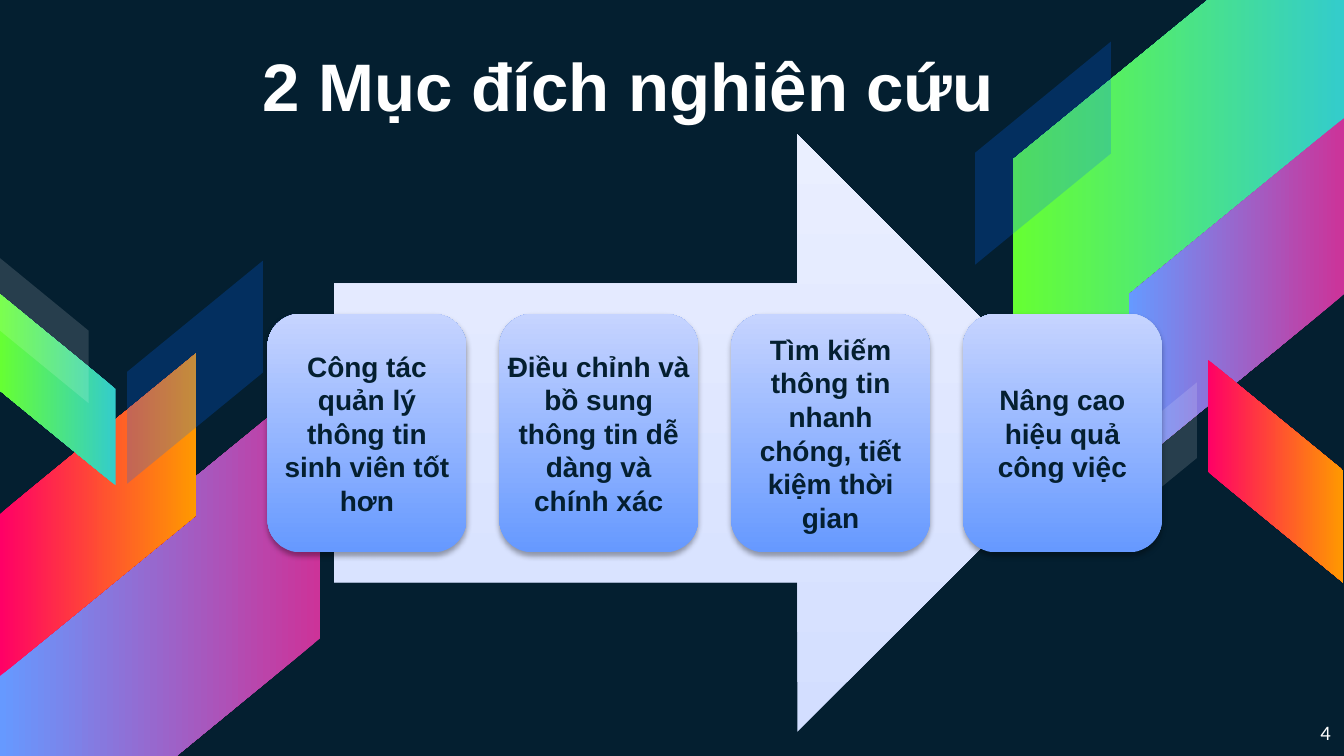
from typing import NamedTuple

from lxml.etree import SubElement
from pptx import Presentation
from pptx.dml.color import RGBColor
from pptx.enum.shapes import MSO_SHAPE as Preset
from pptx.enum.text import MSO_ANCHOR as Anchor, PP_ALIGN as Align
from pptx.oxml.ns import qn
from pptx.util import Pt

EMU_PER_PX = 4572
NAVY = "041F30"
WHITE = "FFFFFF"
GREEN = ("33CCCC", "66FF33")
PURPLE = ("CC3399", "6699FF")
ORANGE = ("FF0066", "FF9900")
SLANT = 0.819


class Box(NamedTuple):
    left: int
    top: int
    width: int
    height: int


class Ribbon(NamedTuple):
    box: Box
    rotation: int
    flipped: bool
    colors: tuple[str, ...]
    opacity: int = 100


RIBBONS = [
    Ribbon(Box(1351, -9, 806, 492), 90, True, GREEN),
    Ribbon(Box(-153, 711, 782, 476), 90, True, PURPLE),
    Ribbon(Box(-94, 620, 480, 292), 270, True, ORANGE),
    Ribbon(Box(124, 453, 332, 202), 270, True, ("0066FF",), 23),
    Ribbon(Box(-56, 494, 284, 172), 90, False, GREEN),
    Ribbon(Box(-42, 426, 216, 132), 270, False, (WHITE,), 14),
    Ribbon(Box(1578, 278, 524, 320), 90, True, PURPLE),
    Ribbon(Box(1732, 600, 332, 202), 270, False, ORANGE),
    Ribbon(Box(1601, 613, 224, 136), 270, True, (WHITE,), 14),
    Ribbon(Box(1386, 127, 332, 202), 270, True, ("0066FF",), 23),
]

PURPOSES = [
    "Công tác quản lý thông tin sinh viên tốt hơn",
    "Điều chỉnh và bồ sung thông tin dễ dàng và chính xác",
    "Tìm kiếm thông tin nhanh chóng, tiết kiệm thời gian",
    "Nâng cao hiệu quả công việc",
]
FIRST_CARD = Box(398, 467, 296, 355)
CARD_PITCH = 345


def px(length: int) -> int:
    return length * EMU_PER_PX


def rgb(color: str) -> RGBColor:
    return RGBColor.from_string(color)


def add_preset(slide, preset, box: Box, colors: tuple[str, ...], angle: int = 270):
    shape = slide.shapes.add_shape(preset, *map(px, box))
    shape.shadow.inherit = False
    shape.line.fill.background()
    if len(colors) == 1:
        shape.fill.solid()
        shape.fill.fore_color.rgb = rgb(colors[0])
    else:
        shape.fill.gradient()
        shape.fill.gradient_angle = 360 - angle
        for stop, color in zip(shape.fill.gradient_stops, colors):
            stop.color.rgb = rgb(color)
    return shape


def set_alpha(color_element, percent: int) -> None:
    SubElement(color_element, qn("a:alpha"), val=str(percent * 1000))


def add_ribbon(slide, ribbon: Ribbon) -> None:
    shape = add_preset(slide, Preset.PARALLELOGRAM, ribbon.box, ribbon.colors, angle=90)
    shape.adjustments[0] = SLANT
    shape.rotation = ribbon.rotation
    properties = shape._element.spPr
    if ribbon.flipped:
        properties.find(qn("a:xfrm")).set("flipH", "1")
    if ribbon.opacity < 100:
        set_alpha(properties.find(f"{qn('a:solidFill')}/{qn('a:srgbClr')}"), ribbon.opacity)


def add_shadow(shape) -> None:
    effects = shape._element.spPr.find(qn("a:effectLst"))
    shadow = SubElement(
        effects, qn("a:outerShdw"), blurRad=str(Pt(3.1)), dist=str(Pt(1.8)),
        dir="5400000", rotWithShape="0",
    )
    set_alpha(SubElement(shadow, qn("a:srgbClr"), val="000000"), 35)


def add_text(slide, box: Box, text: str, *, size: int, font: str = "Arial",
             color: str = WHITE, bold: bool = False, align=Align.LEFT,
             anchor=Anchor.TOP, insets: tuple[int, int] = (20, 10),
             line_points: int | None = None) -> None:
    frame = slide.shapes.add_textbox(*map(px, box)).text_frame
    frame.word_wrap = True
    frame.vertical_anchor = anchor
    frame.margin_left = frame.margin_right = px(insets[0])
    frame.margin_top = frame.margin_bottom = px(insets[1])
    paragraph = frame.paragraphs[0]
    paragraph.alignment = align
    if line_points:
        paragraph.line_spacing = Pt(line_points)
    run = paragraph.add_run()
    run.text = text
    run.font.size = Pt(size)
    run.font.name = font
    run.font.bold = bold
    run.font.color.rgb = rgb(color)


def add_card(slide, box: Box, text: str) -> None:
    add_shadow(add_preset(slide, Preset.ROUNDED_RECTANGLE, box, ("6699FF", "C6D4FF")))
    add_text(slide, box, text, size=15, color=NAVY, bold=True, align=Align.CENTER,
             anchor=Anchor.MIDDLE, insets=(12, 12), line_points=18)


def main() -> None:
    presentation = Presentation()
    presentation.slide_width = px(2000)
    presentation.slide_height = px(1125)
    slide = presentation.slides.add_slide(presentation.slide_layouts[6])
    slide.background.fill.solid()
    slide.background.fill.fore_color.rgb = rgb(NAVY)

    for ribbon in RIBBONS:
        add_ribbon(slide, ribbon)
    add_text(slide, Box(1872, 1053, 128, 72), "4", size=11, font="Calibri",
             align=Align.RIGHT, insets=(20, 20))
    add_text(slide, Box(371, -64, 1244, 262), "2 Mục đích nghiên cứu", size=36,
             bold=True, anchor=Anchor.BOTTOM, insets=(20, 12))
    add_preset(slide, Preset.RIGHT_ARROW, Box(497, 200, 1134, 889), ("D3DEFF", "EAEFFF"))
    for index, purpose in enumerate(PURPOSES):
        left = FIRST_CARD.left + index * CARD_PITCH
        add_card(slide, FIRST_CARD._replace(left=left), purpose)

    presentation.save("out.pptx")


if __name__ == "__main__":
    main()
